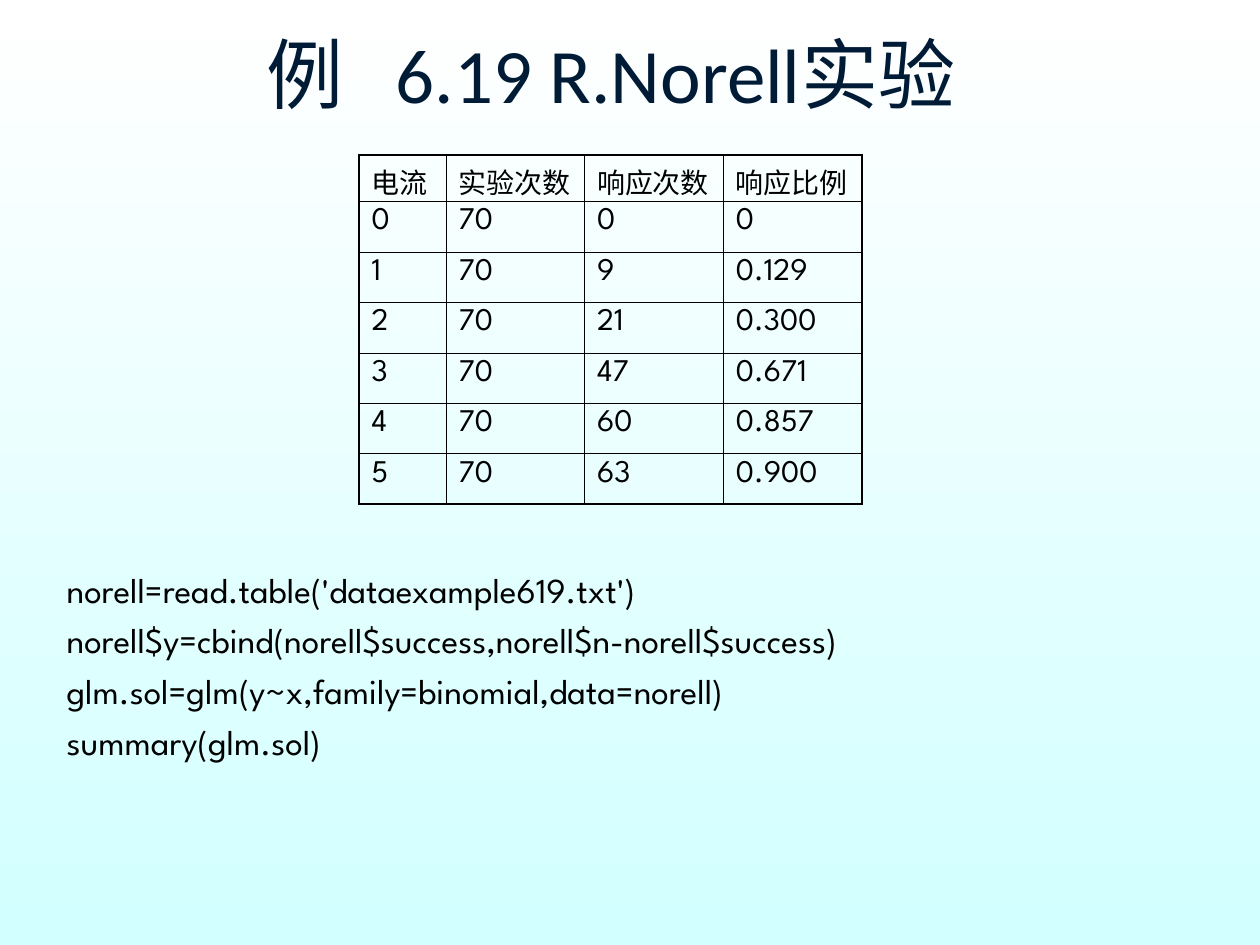
from lxml.etree import SubElement
from pptx import Presentation
from pptx.dml.color import RGBColor
from pptx.enum.text import MSO_ANCHOR, MSO_AUTO_SIZE, PP_ALIGN
from pptx.oxml.ns import qn
from pptx.util import Inches, Pt


def colour(hex_string):
    """Turn a hex string into a colour."""
    return RGBColor.from_string(hex_string)


class SlideBuilder:
    """Hold the style and the current slide."""

    title_font = "Calibri"
    body_font = "League Spartan"
    title_colour = "001B36"
    ink = "000000"
    thin, thick = Pt(0.45), Pt(1.08)

    def __init__(self, slide):
        """Keep the slide that is being built."""
        self.slide = slide

    def background(self, top, bottom):
        """Fill the slide with a gradient running downwards."""
        fill = self.slide.background.fill
        fill.gradient()
        fill.gradient_angle = 270
        for stop, shade in zip(fill.gradient_stops, (top, bottom)):
            stop.color.rgb = colour(shade)

    def run(self, paragraph, text, size, font_name, shade):
        """Add one styled run to a paragraph."""
        run = paragraph.add_run()
        run.text = text
        run.font.size = Pt(size)
        run.font.name = font_name
        run.font.color.rgb = colour(shade)
        return run

    def text_frame(self, left, top, width, height):
        """Add a wrapping text box and return its frame."""
        shape = self.slide.shapes.add_textbox(
            Inches(left), Inches(top), Inches(width), Inches(height))
        shape.text_frame.word_wrap = True
        return shape.text_frame

    def title(self, label, heading, bounds):
        """Add the centred title with a wide gap after its label."""
        frame = self.text_frame(*bounds)
        frame.vertical_anchor = MSO_ANCHOR.MIDDLE
        paragraph = frame.paragraphs[0]
        paragraph.alignment = PP_ALIGN.CENTER
        style = (44, self.title_font, self.title_colour)
        self.run(paragraph, label, *style)
        gap = self.run(paragraph, " ", *style)
        gap.font._element.set("spc", "1000")
        self.run(paragraph, heading, *style)

    def code(self, lines, bounds):
        """Add lines of code as hanging paragraphs."""
        frame = self.text_frame(*bounds)
        frame.auto_size = MSO_AUTO_SIZE.SHAPE_TO_FIT_TEXT
        for index, line in enumerate(lines):
            paragraph = frame.add_paragraph() if index else frame.paragraphs[0]
            properties = paragraph._p.get_or_add_pPr()
            properties.set("marL", str(Inches(0.38)))
            properties.set("indent", str(Inches(-0.38)))
            if index:
                paragraph.space_before = Pt(5)
            self.run(paragraph, line, 20, self.body_font, self.ink)

    def borders(self, cell, outer_sides):
        """Draw thick lines on the outer sides of a cell and thin ones inside."""
        properties = cell._tc.get_or_add_tcPr()
        for side in "LRTB":
            width = self.thick if side in outer_sides else self.thin
            line = SubElement(properties, qn(f"a:ln{side}"), w=str(width))
            fill = SubElement(line, qn("a:solidFill"))
            SubElement(fill, qn("a:srgbClr"), val=self.ink)

    def table(self, rows, left, top, widths, heights):
        """Add an unfilled table with a thick frame."""
        table = self.slide.shapes.add_table(
            len(rows), len(widths), Inches(left), Inches(top),
            Inches(sum(widths)), Inches(sum(heights))).table
        table.first_row = table.horz_banding = False
        for column, width in zip(table.columns, widths):
            column.width = Inches(width)
        last_row, last_column = len(rows) - 1, len(widths) - 1
        for row_index, values in enumerate(rows):
            table.rows[row_index].height = Inches(heights[row_index])
            for column_index, value in enumerate(values):
                cell = table.cell(row_index, column_index)
                edges = {"L": column_index == 0, "R": column_index == last_column,
                         "T": row_index == 0, "B": row_index == last_row}
                self.borders(cell, [side for side in edges if edges[side]])
                cell.fill.background()
                self.run(cell.text_frame.paragraphs[0], value,
                         18 if row_index else 16, self.body_font, self.ink)


def main():
    """Build and save the presentation."""
    presentation = Presentation()
    presentation.slide_width = Inches(10)
    presentation.slide_height = Inches(7.5)
    builder = SlideBuilder(
        presentation.slides.add_slide(presentation.slide_layouts[6]))
    builder.background("FFFFFF", "D2FFFF")
    builder.title("例", " 6.19 R.Norell实验", (0.36, 0.07, 8.98, 1.02))
    rows = [
        ("电流", "实验次数", "响应次数", "响应比例"),
        ("0", "70", "0", "0"),
        ("1", "70", "9", "0.129"),
        ("2", "70", "21", "0.300"),
        ("3", "70", "47", "0.671"),
        ("4", "70", "60", "0.857"),
        ("5", "70", "63", "0.900"),
    ]
    builder.table(rows, 2.85, 1.23, [0.69] + [1.1] * 3, [0.37] + [0.4] * 6)
    builder.code([
        "norell=read.table('dataexample619.txt')",
        "norell$y=cbind(norell$success,norell$n-norell$success)",
        "glm.sol=glm(y~x,family=binomial,data=norell)",
        "summary(glm.sol)",
    ], (0.43, 4.46, 8.51, 1.64))
    presentation.save("out.pptx")


if __name__ == "__main__":
    main()
